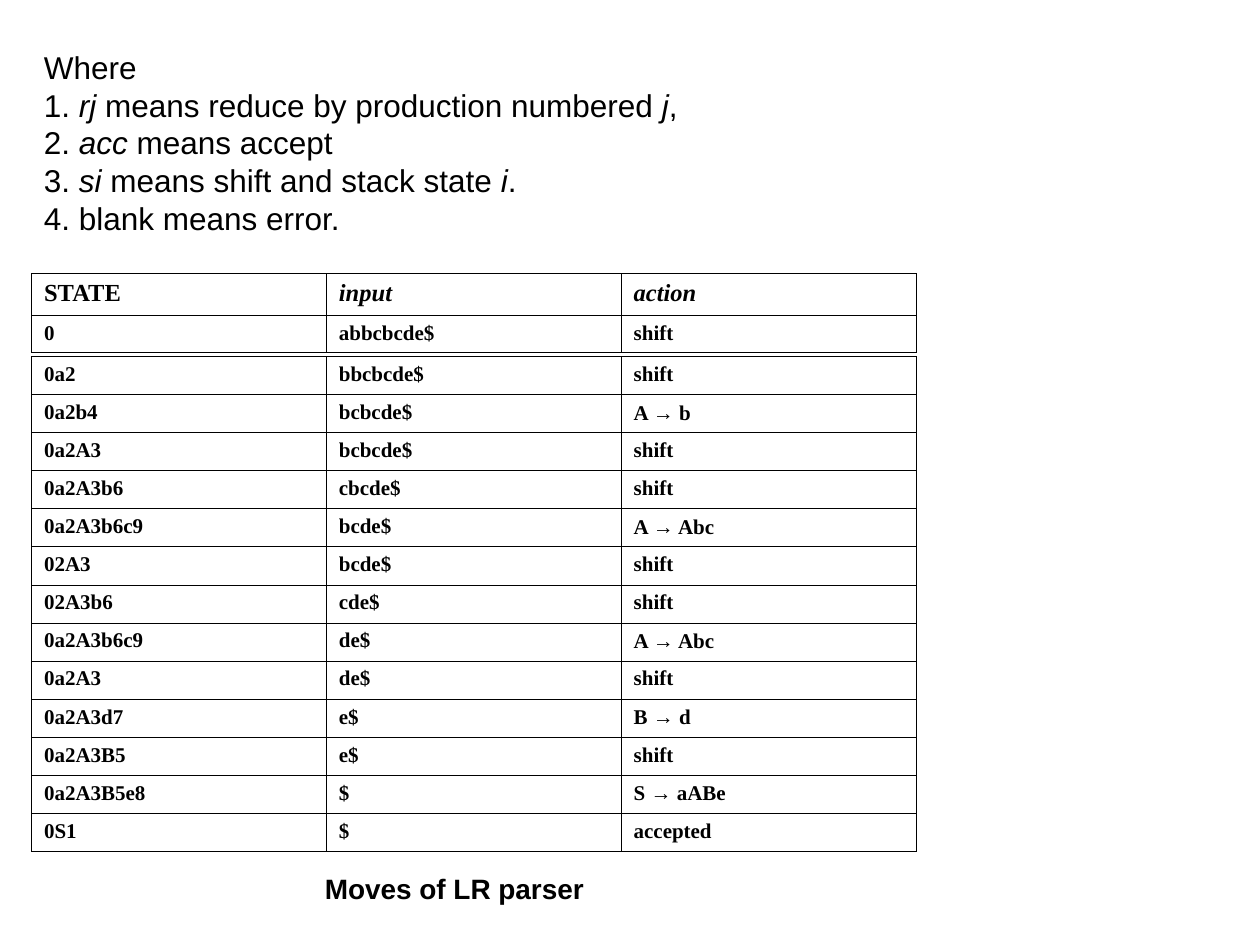
from lxml import etree
from pptx import Presentation
from pptx import util as u
from pptx.dml.color import RGBColor
from pptx.enum import text
from pptx.oxml import ns

BLACK = RGBColor(0x00, 0x00, 0x00)
WHITE = RGBColor(0xFF, 0xFF, 0xFF)
SANS, SERIF = "Arial", "Times New Roman"
ARROW = "→"
BORDER = u.Pt(0.45)
LEFT, WIDTH = 0.25, 7.02

# Alternating upright and italic pieces of each line
LEGEND = [
    ["Where"],
    ["1. ", "rj", " means reduce by production numbered ", "j", ","],
    ["2. ", "acc", " means accept"],
    ["3. ", "si", " means shift and stack state", " i", "."],
    ["4. blank means error."],
]
CAPTION = "Moves of LR parser"
HEADER = ("STATE", "input", "action")
FIRST_MOVE = ("0", "abbcbcde$", "shift")
NEXT_MOVES = [
    ("0a2", "bbcbcde$", "shift"),
    ("0a2b4", "bcbcde$", "A → b"),
    ("0a2A3", "bcbcde$", "shift"),
    ("0a2A3b6", "cbcde$", "shift"),
    ("0a2A3b6c9", "bcde$", "A → Abc"),
    ("02A3", "bcde$", "shift"),
    ("02A3b6", "cde$", "shift"),
    ("0a2A3b6c9", "de$", "A → Abc"),
    ("0a2A3", "de$", "shift"),
    ("0a2A3d7", "e$", "B → d"),
    ("0a2A3B5", "e$", "shift"),
    ("0a2A3B5e8", "$", "S → aABe"),
    ("0S1", "$", "accepted"),
]


def style(font, name, size, bold=False):
    font.name, font.size, font.bold = name, u.Pt(size), bold
    font.color.rgb = BLACK


def add_box(page, left, top, width, height, anchor):
    box = page.shapes.add_textbox(*map(u.Inches, (left, top, width, height)))
    box.text_frame.word_wrap = True
    box.text_frame.vertical_anchor = anchor
    return box.text_frame


def draw_borders(cell):
    properties = cell._tc.get_or_add_tcPr()
    for index, side in enumerate(("a:lnL", "a:lnR", "a:lnT", "a:lnB")):
        line = etree.Element(ns.qn(side), w=str(int(BORDER)))
        fill = etree.SubElement(line, ns.qn("a:solidFill"))
        etree.SubElement(fill, ns.qn("a:srgbClr"), val=str(BLACK))
        properties.insert(index, line)


def fill_cell(cell, content, size, italic):
    cell.fill.background()
    draw_borders(cell)
    para = cell.text_frame.paragraphs[0]
    before, arrow, after = content.partition(ARROW)
    for piece in filter(None, (before, arrow, after)):
        span = para.add_run()
        span.text = piece
        style(span.font, SANS if piece == ARROW else SERIF, size, True)
        span.font.italic = italic


def add_moves(page, top, height, rows):
    frame = page.shapes.add_table(
        len(rows), len(HEADER), *map(u.Inches, (LEFT, top, WIDTH, height)))
    table = frame.table
    table.first_row = table.horz_banding = False
    for row_index, row in enumerate(rows):
        is_header = row is HEADER
        for column_index, content in enumerate(row):
            fill_cell(table.cell(row_index, column_index), content,
                      14 if is_header else 12, is_header and column_index > 0)
    return table


def add_legend(page):
    frame = add_box(page, LEFT, 0.33, 5.6, 1.6, text.MSO_ANCHOR.TOP)
    for line_index, pieces in enumerate(LEGEND):
        para = frame.add_paragraph() if line_index else frame.paragraphs[0]
        style(para.font, SANS, 18)
        for piece_index, piece in enumerate(pieces):
            span = para.add_run()
            span.text = piece
            style(span.font, SANS, 18)
            span.font.italic = piece_index % 2 == 1


def main():
    deck = Presentation()
    deck.slide_width, deck.slide_height = u.Inches(10), u.Inches(7.5)
    page = deck.slides.add_slide(deck.slide_layouts[6])
    page.background.fill.solid()
    page.background.fill.fore_color.rgb = WHITE

    opening = add_moves(page, 2.17, 0.63, [HEADER, FIRST_MOVE])
    opening.rows[0].height, opening.rows[1].height = u.Inches(0.33), u.Inches(0.3)
    add_moves(page, 2.83, 3.93, NEXT_MOVES)
    add_legend(page)

    caption = add_box(page, 2.48, 6.85, 2.4, 0.4, text.MSO_ANCHOR.MIDDLE)
    caption.text = CAPTION
    style(caption.paragraphs[0].font, SANS, 16, True)
    deck.save("out.pptx")


if __name__ == "__main__":
    main()
